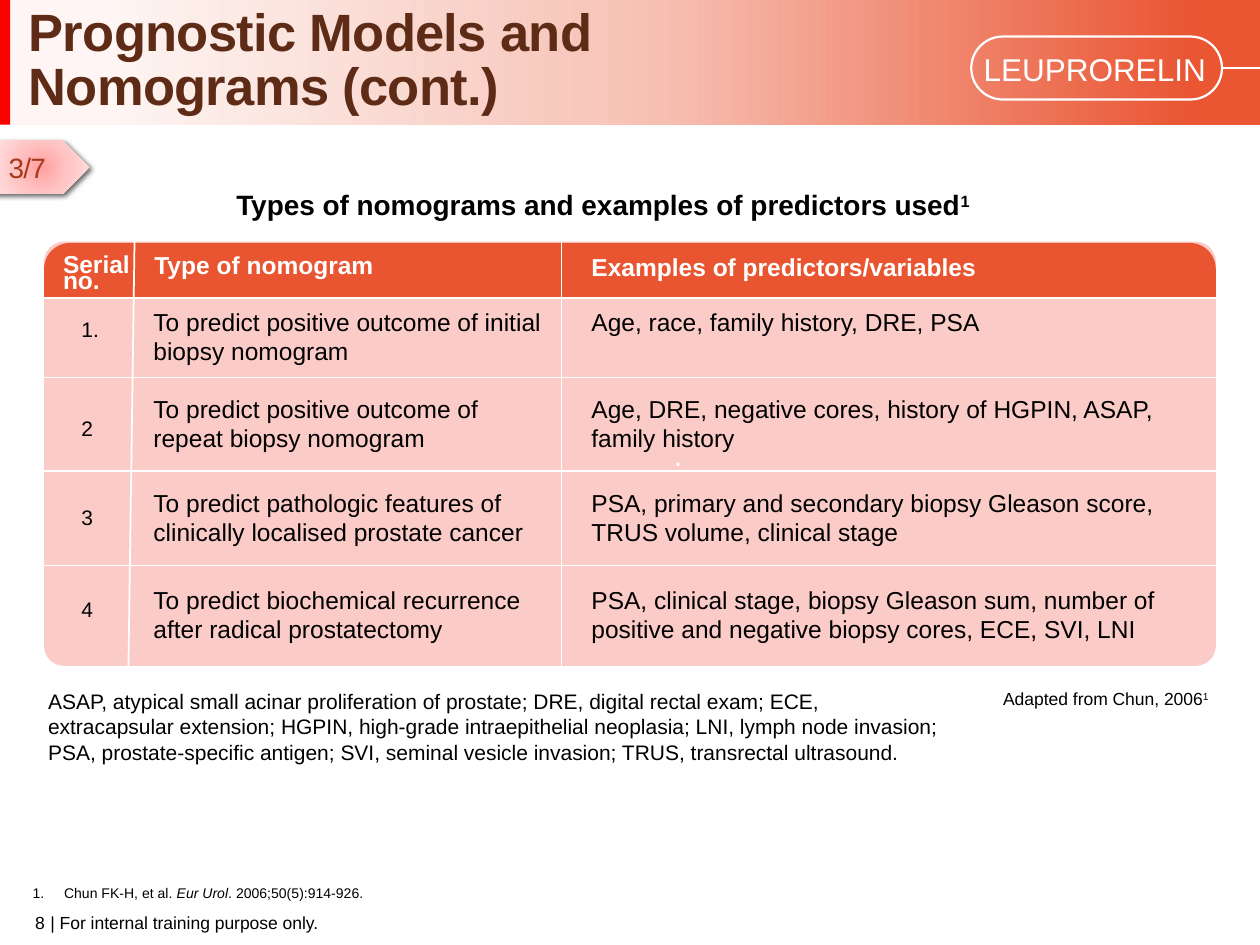
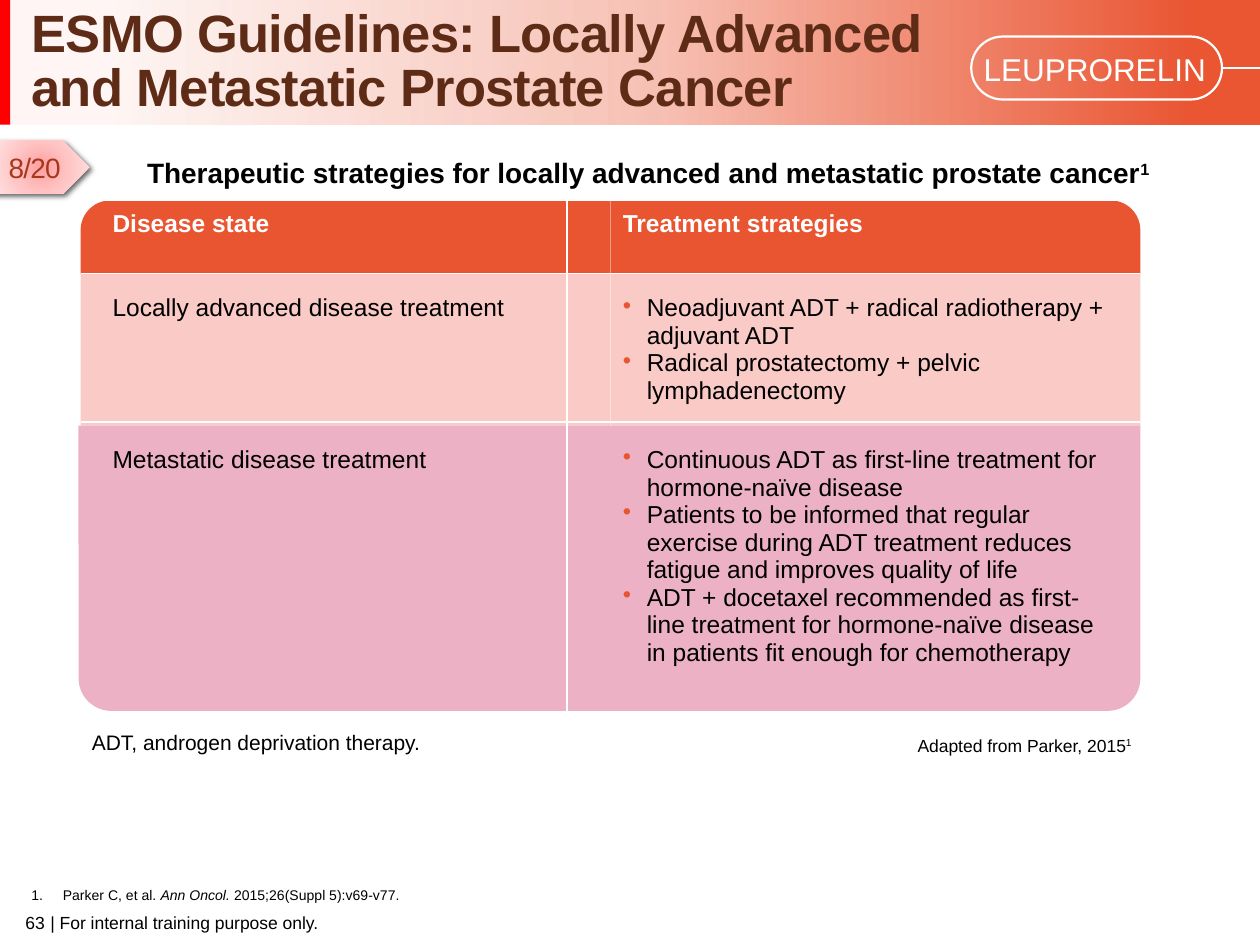
from itertools import accumulate

from lxml import etree
from pptx import Presentation
from pptx.dml.color import RGBColor
from pptx.enum.shapes import MSO_CONNECTOR, MSO_SHAPE as SHP
from pptx.enum.text import MSO_ANCHOR as ANC, MSO_AUTO_SIZE, PP_ALIGN as AL
from pptx.oxml import parse_xml
from pptx.oxml.ns import nsdecls, qn
from pptx.util import Pt

FONT = "Arial"
NO_GRID = "{2D5ABB26-0587-4C30-8999-92F81FD0307C}"
WHITE = RGBColor(0xFF, 0xFF, 0xFF)
BLACK = RGBColor(0, 0, 0)
RED = RGBColor(0xFF, 0, 0)
BAND = RGBColor(0xEA, 0x55, 0x32)
ORANGE = RGBColor(0xE9, 0x55, 0x31)
BROWN = RGBColor(0x5E, 0x2C, 0x16)
RUST = RGBColor(0xA7, 0x38, 0x1D)
PINK = RGBColor(0xFB, 0xCB, 0xC7)
SALMON = RGBColor(0xFA, 0xCA, 0xC7)
MAUVE = RGBColor(0xEC, 0xB1, 0xC4)
TAG_STOPS = [(0, RGBColor(0xFF, 0xA0, 0xA0), 100),
             (50, RGBColor(0xFF, 0xC5, 0xC5), 100),
             (100, RGBColor(0xFF, 0xE3, 0xE3), 100)]
BAND_STOPS = [(9, BAND, 5), (53, BAND, 37), (95, BAND, 100)]


def pts(*values):
    """Turn numbers into lengths in points."""
    return [Pt(v) for v in values]


def add_run(p, text, size, color=BLACK, bold=False, style="", spacing=0):
    """Add one run; style is empty, 'i' for italic or 'sup' for superscript."""
    r = p.add_run()
    r.text = text
    f = r.font
    f.name, f.size, f.bold, f.italic = FONT, Pt(size), bold, style == "i"
    f.color.rgb = color
    if style == "sup":
        f._element.set("baseline", "30000")
    if spacing:
        f._element.set("spc", str(round(spacing * 100)))


def set_bullet(p, indent, number=False):
    """Give a paragraph a hanging number or an orange dot."""
    pPr = p._p.get_or_add_pPr()
    pPr.set("marL", str(Pt(indent)))
    pPr.set("indent", str(-Pt(indent)))
    if number:
        etree.SubElement(pPr, qn("a:buAutoNum"), type="arabicPeriod")
    else:
        color = etree.SubElement(pPr, qn("a:buClr"))
        etree.SubElement(color, qn("a:srgbClr"), val=str(ORANGE))
        etree.SubElement(pPr, qn("a:buChar"), char="•")


def add_text(s, box, runs, size, color=BLACK, bold=False, align=AL.LEFT,
             anchor=ANC.TOP, inset=True, spacing=0, number=False):
    """Add a one-paragraph text box from (text, style) runs."""
    tf = s.shapes.add_textbox(*pts(*box)).text_frame
    tf.word_wrap, tf.vertical_anchor = True, anchor
    if not inset:
        tf.margin_left = tf.margin_right = tf.margin_top = tf.margin_bottom = 0
    p = tf.paragraphs[0]
    if number:
        set_bullet(p, 18, number=True)
    p.alignment = align
    for text, style in runs:
        add_run(p, text, size, color, bold, style, spacing)


def add_box(s, kind, box, fill=None, line=None, adj=None, flip=""):
    """Add a preset shape without shadow, flipped along the given axes."""
    sp = s.shapes.add_shape(kind, *pts(*box))
    sp.shadow.inherit = False
    if adj is not None:
        sp.adjustments[0] = adj
    if fill is not None:
        sp.fill.solid()
        sp.fill.fore_color.rgb = fill
    else:
        sp.fill.background()
    if line:
        sp.line.color.rgb, sp.line.width = WHITE, Pt(line)
    else:
        sp.line.fill.background()
    for axis in flip:
        sp._element.spPr.find(qn("a:xfrm")).set("flip" + axis, "1")
    return sp


def set_gradient(sp, stops, direction):
    """Replace the fill by a gradient of (position, colour, opacity) stops."""
    stop_xml = "".join(
        f'<a:gs pos="{pos * 1000}"><a:srgbClr val="{color}">'
        f'<a:alpha val="{opacity * 1000}"/></a:srgbClr></a:gs>'
        for pos, color, opacity in stops)
    spPr = sp._element.spPr
    spPr.replace(spPr.find(qn("a:noFill")), parse_xml(
        f'<a:gradFill {nsdecls("a")} rotWithShape="1"><a:gsLst>{stop_xml}</a:gsLst>'
        f'{direction}</a:gradFill>'))


def add_line(s, x1, y1, x2, y2, width=1):
    """Add a white line."""
    c = s.shapes.add_connector(MSO_CONNECTOR.STRAIGHT, *pts(x1, y1, x2, y2))
    c.line.color.rgb, c.line.width = WHITE, Pt(width)
    etree.SubElement(c._element.spPr, qn("a:effectLst"))


def add_plain_table(s, x, y, widths, heights):
    """Add a table without style or fills, to lie over coloured panels."""
    tbl = s.shapes.add_table(len(heights), len(widths), *pts(
        x, y, sum(widths), sum(heights))).table
    tbl.first_row = tbl.horz_banding = False
    tbl._tbl.tblPr.find(qn("a:tableStyleId")).text = NO_GRID
    for col, w in zip(tbl.columns, widths):
        col.width = Pt(w)
    for row, h in zip(tbl.rows, heights):
        row.height = Pt(h)
    for cell in tbl.iter_cells():
        cell.fill.background()
    return tbl


def fill_cell(cell, lines, margins, size=14, color=BLACK, bold=False,
              bullets=False, leading=None):
    """Write the lines into a cell with left, top and right margins."""
    cell.margin_left, cell.margin_top, cell.margin_right = pts(*margins)
    cell.margin_bottom = 0
    tf = cell.text_frame
    for i, line in enumerate(lines):
        p = tf.add_paragraph() if i else tf.paragraphs[0]
        if bullets:
            set_bullet(p, 13.7)
        if leading:
            p.line_spacing = leading
        add_run(p, line, size, color, bold)


def build_layout(prs):
    """Put the band, drug badge and footer on the title-only layout."""
    layout = prs.slide_layouts[5]
    s = prs.slides.add_slide(layout)
    start = len(s.shapes)
    band = add_box(s, SHP.RECTANGLE, (-0.7, 0, 720.7, 71.3))
    set_gradient(band, BAND_STOPS, '<a:lin ang="0" scaled="0"/>')
    add_box(s, SHP.RECTANGLE, (-0.7, 0, 6.5, 71.3), RED)
    add_text(s, (28.8, 521, 340, 14.4), [("| For internal training purpose only.", "")],
             10, inset=False)
    add_box(s, SHP.ROUNDED_RECTANGLE, (555, 20.9, 143.3, 36), line=1.25, adj=0.5)
    add_line(s, 698, 38.9, 720, 38.9, 1.4)
    add_text(s, (555, 25.2, 146.2, 28.8), [("LEUPRORELIN", "")], 18, WHITE)
    for sp in list(s.shapes)[start:]:
        layout.shapes.element.append(sp._element)
    return s, layout


def add_frame(s, title, title_box, page, tag, reference, reference_box):
    """Fill the title, step tag, reference and page number."""
    sp = s.shapes.title
    sp.left, sp.top, sp.width, sp.height = pts(*title_box)
    tf = sp.text_frame
    tf.auto_size, tf.vertical_anchor = MSO_AUTO_SIZE.NONE, ANC.BOTTOM
    p = tf.paragraphs[0]
    p.alignment, p.line_spacing = AL.LEFT, 0.85
    for i, line in enumerate(title):
        if i:
            p.add_line_break()
        add_run(p, line, 30, BROWN, True, spacing=-0.4)
    arrow = add_box(s, SHP.PENTAGON, (-3.6, 80.3, 54.7, 30.5))
    set_gradient(arrow, TAG_STOPS, '<a:path path="circle"><a:fillToRect '
                 'l="50000" t="50000" r="50000" b="50000"/></a:path>')
    effects = arrow._element.spPr.find(qn("a:effectLst"))
    effects.append(parse_xml(
        f'<a:outerShdw {nsdecls("a")} blurRad="{Pt(3)}" dist="{Pt(2)}" dir="2700000" '
        'algn="tl" rotWithShape="0"><a:srgbClr val="000000"><a:alpha val="60000"/>'
        '</a:srgbClr></a:outerShdw>'))
    add_text(s, (-2.2, 82.4, 60, 26.6), [(tag, "")], 16, RUST, spacing=-0.4)
    add_text(s, reference_box, reference, 8, anchor=ANC.BOTTOM, number=True)
    add_text(s, (0, 521, 25.6, 14.4), [(page, "")], 10, align=AL.RIGHT, inset=False)


def add_caption(s, box, text):
    """Add the bold centred heading of a table with its reference mark."""
    add_text(s, box, [(text, ""), ("1", "sup")], 16, bold=True, align=AL.CENTER)


def add_source(s, box, text):
    """Add the right-aligned source of a table with its reference mark."""
    add_text(s, box, [(text, ""), ("1", "sup")], 10, align=AL.RIGHT)


def add_nomogram_table(s, x, y, w):
    """Draw the rounded panel, its rules and the nomogram table."""
    heights = [31.6, 45.4, 53.3, 54, 56.7]
    widths = [52, 244, w - 296]
    h = sum(heights)
    panel = add_box(s, SHP.ROUNDED_RECTANGLE, (x, y - 0.7, w, h + 1.4), PINK, adj=0.047)
    tf = panel.text_frame
    tf.margin_left, tf.vertical_anchor = Pt(62), ANC.MIDDLE
    tf.paragraphs[0].alignment = AL.CENTER
    add_run(tf.paragraphs[0], ".", 18, WHITE)
    add_box(s, SHP.ROUND_2_SAME_RECTANGLE, (x, y, w, heights[0]), ORANGE, adj=0.47)
    add_line(s, x + 51.7, y - 1, x + 48.2, y + h + 1)
    add_line(s, x + 295.7, y - 1, x + 295.7, y + h + 1)
    for offset in list(accumulate(heights))[:-1]:
        add_line(s, x, y + offset, x + w, y + offset)
    tbl = add_plain_table(s, x, y, widths, heights)
    head = dict(color=WHITE, bold=True)
    fill_cell(tbl.cell(0, 0), ["Serial", "no."], (10.8, 4.6, 0), **head)
    tbl.cell(0, 0).text_frame.paragraphs[1].line_spacing = 0.5
    fill_cell(tbl.cell(0, 1), ["Type of nomogram"], (11, 5.2, 7), **head)
    fill_cell(tbl.cell(0, 2), ["Examples of predictors/variables"], (16.8, 6.4, 0), **head)
    rows = [
        ("1.", "To predict positive outcome of initial biopsy nomogram",
         "Age, race, family history, DRE, PSA", 11.8, 5.6),
        ("2", "To predict positive outcome of repeat biopsy nomogram",
         "Age, DRE, negative cores, history of HGPIN, ASAP, family history", 22.6, 9.8),
        ("3", "To predict pathologic features of clinically localised prostate cancer",
         "PSA, primary and secondary biopsy Gleason score, TRUS volume, clinical stage",
         20.4, 10.6),
        ("4", "To predict biochemical recurrence after radical prostatectomy",
         "PSA, clinical stage, biopsy Gleason sum, number of positive and negative "
         "biopsy cores, ECE, SVI, LNI", 19, 11.9)]
    for i, (number, kind, examples, number_top, top) in enumerate(rows, 1):
        fill_cell(tbl.cell(i, 0), [number], (21.3, number_top, 0), 12)
        fill_cell(tbl.cell(i, 1), [kind], (10.5, top, 7), leading=1.05)
        fill_cell(tbl.cell(i, 2), [examples], (16.8, top, 0), leading=1.05)


def add_strategy_table(s, x, y, w):
    """Draw the coloured panels, their rules and the strategy table."""
    half = w / 2
    corner = SHP.ROUND_1_RECTANGLE
    for i in range(2):
        left = x + i * half
        add_box(s, SHP.RECTANGLE, (left, y + 41.8, half, 87), SALMON)
        add_box(s, corner, (left, y, half, 41.8), ORANGE, adj=0.407,
                flip="" if i else "H")
        add_box(s, corner, (left - 1.2, y + 128.8, half + 1.2, 163), MAUVE,
                adj=0.115, flip="V" if i else "HV")
    add_line(s, x + 278, y - 0.7, x + 278, y + 293.8)
    for offset in (0, 41.8, 126.7):
        add_line(s, x, y + offset, x + w, y + offset)
    tbl = add_plain_table(s, x + 11, y + 5.6, [291.6] * 2, [33.8, 97.2, 142])
    rows = [
        (["Disease state"], ["Treatment strategies"], 0),
        (["Locally advanced disease treatment"],
         ["Neoadjuvant ADT + radical radiotherapy + adjuvant ADT",
          "Radical prostatectomy + pelvic lymphadenectomy"], 14.4),
        (["Metastatic disease treatment"],
         ["Continuous ADT as first-line treatment for hormone-naïve disease",
          "Patients to be informed that regular exercise during ADT treatment reduces "
          "fatigue and improves quality of life",
          "ADT + docetaxel recommended as first-line treatment for hormone-naïve "
          "disease in patients fit enough for chemotherapy"], 3.9)]
    for i, (state, strategies, top) in enumerate(rows):
        color = BLACK if i else WHITE
        for j, lines in enumerate((state, strategies)):
            fill_cell(tbl.cell(i, j), lines, (7.2, top, 7.2), color=color,
                      bold=i == 0, bullets=i > 0 and j == 1)


def build_nomograms(s):
    """Build the slide on nomogram types."""
    add_frame(s, ["Prognostic Models and ", "Nomograms (cont.)"], (9.2, 19.6, 559.4, 50.4),
              "8", "3/7", [("Chun FK-H, et al. ", ""), ("Eur Urol", "i"),
                           (". 2006;50(5):914-926.", "")], (11.5, 501.4, 209, 17.3))
    add_caption(s, (-17.3, 103.7, 723.6, 26.6),
                "Types of nomograms and examples of predictors used")
    add_nomogram_table(s, 25.2, 138.8, 669.6)
    add_source(s, (555.8, 389.5, 141.8, 19.4), "Adapted from Chun, 2006")
    add_text(s, (20.4, 390, 523.4, 51.1), [(
        "ASAP, atypical small acinar proliferation of prostate; DRE, digital rectal exam; "
        "ECE, extracapsular extension; HGPIN, high-grade intraepithelial neoplasia; LNI, "
        "lymph node invasion; PSA, prostate-specific antigen; SVI, seminal vesicle "
        "invasion; TRUS, transrectal ultrasound.", "")], 12)


def build_guidelines(s):
    """Build the slide on treatment guidelines."""
    add_frame(s, ["ESMO Guidelines: Locally Advanced and Metastatic Prostate Cancer"],
              (10.8, 20.2, 578.2, 50.4), "63", "8/20",
              [("Parker C, et al. ", ""), ("Ann Oncol. ", "i"),
               ("2015;26(Suppl 5):v69-v77.", "")], (10.8, 502.6, 575.3, 17.3))
    add_strategy_table(s, 46.1, 114.5, 605.6)
    add_source(s, (514.6, 416.2, 139, 19.4), "Adapted from Parker, 2015")
    add_text(s, (45.4, 413.3, 360.7, 21.6), [("ADT, androgen deprivation therapy.", "")], 12)
    add_caption(s, (45, 85.4, 650.9, 26.6),
                "Therapeutic strategies for locally advanced and metastatic prostate cancer")


def main():
    """Build and save the two slides."""
    prs = Presentation()
    prs.slide_width, prs.slide_height = pts(720, 540)
    first, layout = build_layout(prs)
    build_nomograms(first)
    build_guidelines(prs.slides.add_slide(layout))
    prs.save("out.pptx")


if __name__ == "__main__":
    main()
